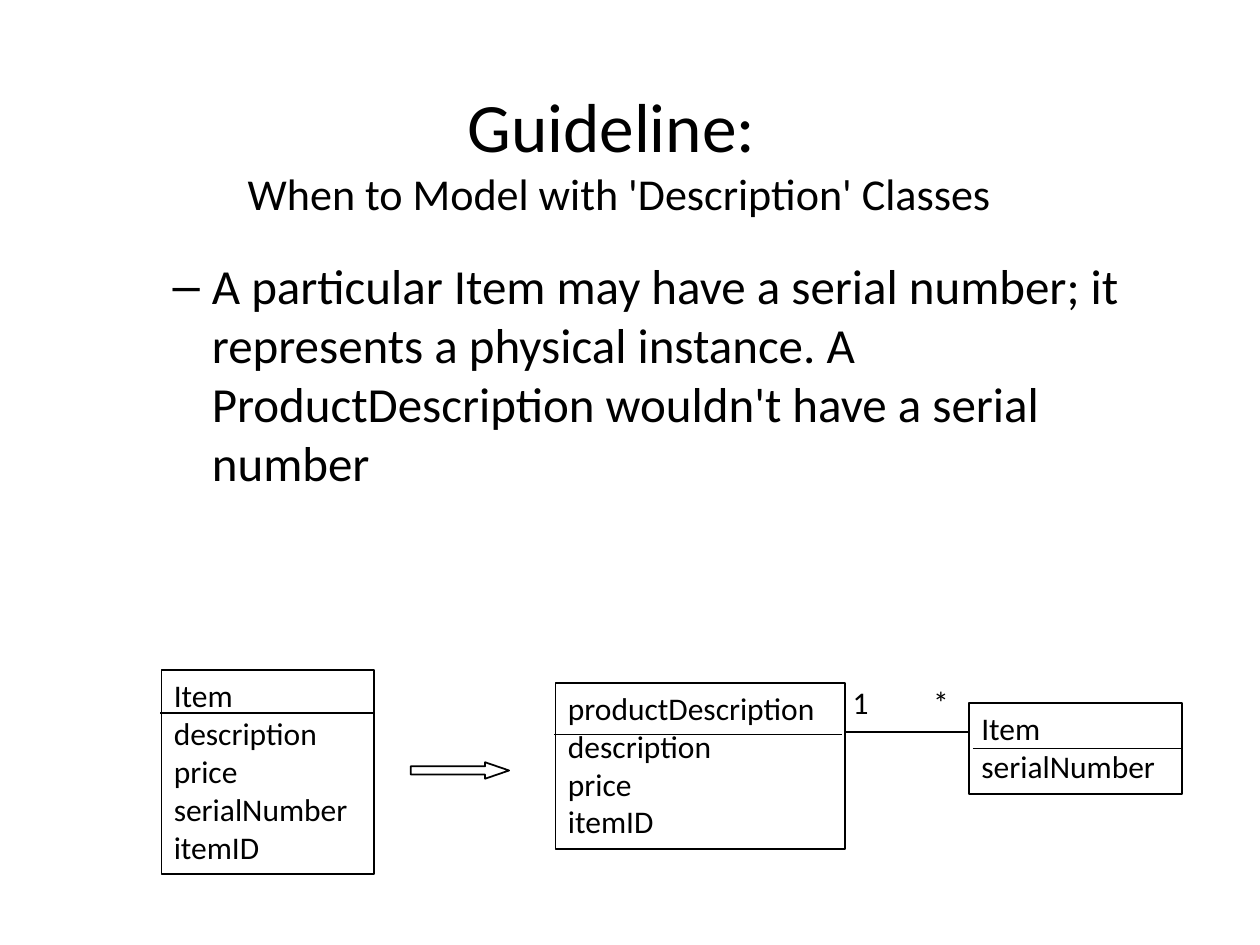
import pptx
import pptx.util
import pptx.dml.color
import pptx.enum.shapes
import pptx.enum.text
import pptx.oxml
import pptx.oxml.ns
from lxml import etree

Pt = pptx.util.Pt
qn = pptx.oxml.ns.qn
Align = pptx.enum.text.PP_ALIGN
Anchor = pptx.enum.text.MSO_ANCHOR
Shapes = pptx.enum.shapes.MSO_SHAPE
COLORS = {"ink": "000000"}
FONT = "Calibri"
LABEL_SIZE = 18


def ink():
    return pptx.dml.color.RGBColor.from_string(COLORS["ink"])


def add_run(paragraph, text, size):
    run = paragraph.add_run()
    run.text = text
    run.font.name = FONT
    run.font.size = Pt(size)
    run.font.color.rgb = ink()


def place(shape, box):
    shape.left, shape.top, shape.width, shape.height = [Pt(value) for value in box]


def style_line(shape):
    shape.line.color.rgb = ink()
    shape.line.width = Pt(1)


def add_outline_shape(slide, kind, box):
    shape = slide.shapes.add_shape(kind, *[Pt(value) for value in box])
    shape.shadow.inherit = False
    shape.fill.background()
    style_line(shape)
    return shape


def add_line(slide, left, right, y):
    line = slide.shapes.add_connector(
        pptx.enum.shapes.MSO_CONNECTOR.STRAIGHT, Pt(left), Pt(y), Pt(right), Pt(y))
    style_line(line)
    etree.SubElement(line._element.spPr, qn("a:effectLst"))


def add_title(slide, box):
    title = slide.shapes.title
    place(title, box)
    frame = title.text_frame
    frame.auto_size = pptx.enum.text.MSO_AUTO_SIZE.NONE
    frame.vertical_anchor = Anchor.MIDDLE
    paragraph = frame.paragraphs[0]
    paragraph.alignment = Align.CENTER
    add_run(paragraph, "Guideline: ", 39.6)
    paragraph.add_line_break()
    add_run(paragraph, "When to Model with 'Description' Classes", 25.2)


def add_body(slide, box):
    body = slide.placeholders[1]
    place(body, box)
    body.text_frame.auto_size = pptx.enum.text.MSO_AUTO_SIZE.NONE
    paragraph = body.text_frame.paragraphs[0]
    paragraph.level = 1
    paragraph.space_before = Pt(0)
    properties = paragraph._p.get_or_add_pPr()
    properties.set("marL", str(Pt(58.5)))
    properties.set("indent", str(Pt(-22.5)))
    etree.SubElement(properties, qn("a:buChar"), char="–")
    add_run(paragraph, "A particular Item may have a serial number; it represents a "
            "physical instance. A ProductDescription wouldn't have a serial number", 28)


def add_class(slide, box, names, divider):
    """Draw a class box; divider is its shift, drop and length from the box corner."""
    left, top = box[:2]
    shift, drop, length = divider
    frame = add_outline_shape(slide, Shapes.RECTANGLE, box).text_frame
    frame.word_wrap = False
    frame.vertical_anchor = Anchor.TOP
    for index, name in enumerate(names):
        paragraph = frame.paragraphs[0] if index == 0 else frame.add_paragraph()
        paragraph.alignment = Align.LEFT
        add_run(paragraph, name, LABEL_SIZE)
    add_line(slide, left + shift, left + shift + length, top + drop)


def add_arrow(slide, box):
    arrow = add_outline_shape(slide, Shapes.RIGHT_ARROW, box)
    arrow.adjustments[0] = 0.5
    arrow.adjustments[1] = 1.46


def add_association(slide, box):
    left, top, width, height = box
    add_line(slide, left + 2.2, left + width, top + 31.7)
    label = slide.shapes.add_textbox(*[Pt(value) for value in box])
    label.text_frame.word_wrap = True
    paragraph = label.text_frame.paragraphs[0]
    # A tab stop sets the far multiplicity apart from the near one
    tabs = etree.SubElement(paragraph._p.get_or_add_pPr(), qn("a:tabLst"))
    etree.SubElement(tabs, qn("a:tab"), pos=str(Pt(46)), algn="l")
    add_run(paragraph, "1\t*", LABEL_SIZE)


def main():
    presentation = pptx.Presentation()
    presentation.slide_width, presentation.slide_height = Pt(720), Pt(540)
    slide = presentation.slides.add_slide(presentation.slide_layouts[1])

    # Heading and guideline
    add_title(slide, (92.9, 44.6, 522, 83.5))
    add_body(slide, (55.4, 142.6, 604.8, 164.2))

    # Class before the split
    add_class(slide, (92.2, 383, 121.7, 116.6),
              ["Item", "description", "price", "serialNumber", "itemID"],
              (-0.7, 24.5, 121.7))
    add_arrow(slide, (234.7, 435.6, 56.2, 9.4))

    # Description class and its items
    add_class(slide, (317.5, 390.2, 165.6, 95),
              ["productDescription", "description", "price", "itemID"],
              (-0.7, 29.6, 164.2))
    add_class(slide, (553.7, 401.8, 121.7, 51.8), ["Item", "serialNumber"],
              (2.2, 25.9, 120.2))
    add_association(slide, (480.2, 386.6, 72.7, 28.8))

    presentation.save("out.pptx")


if __name__ == "__main__":
    main()
